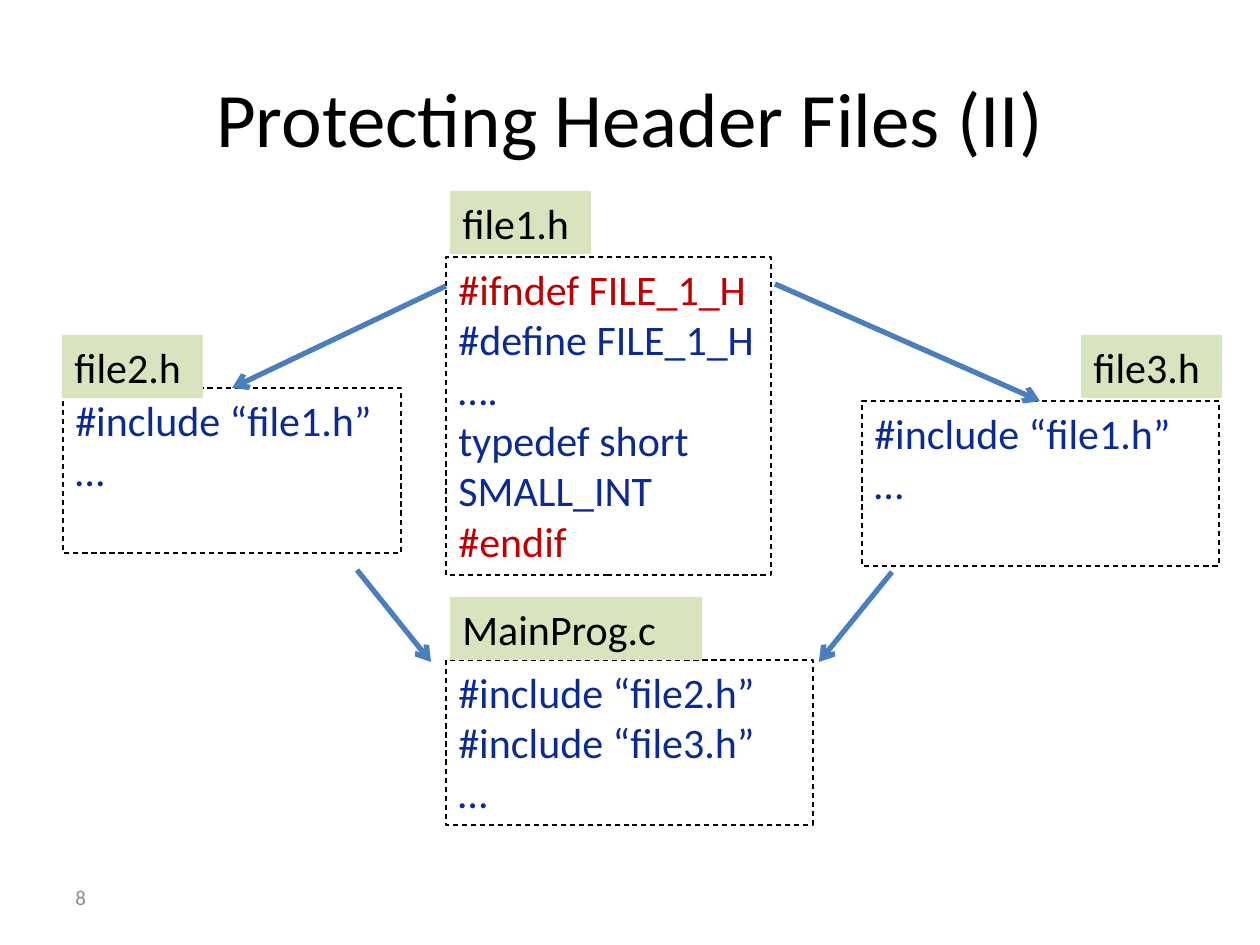
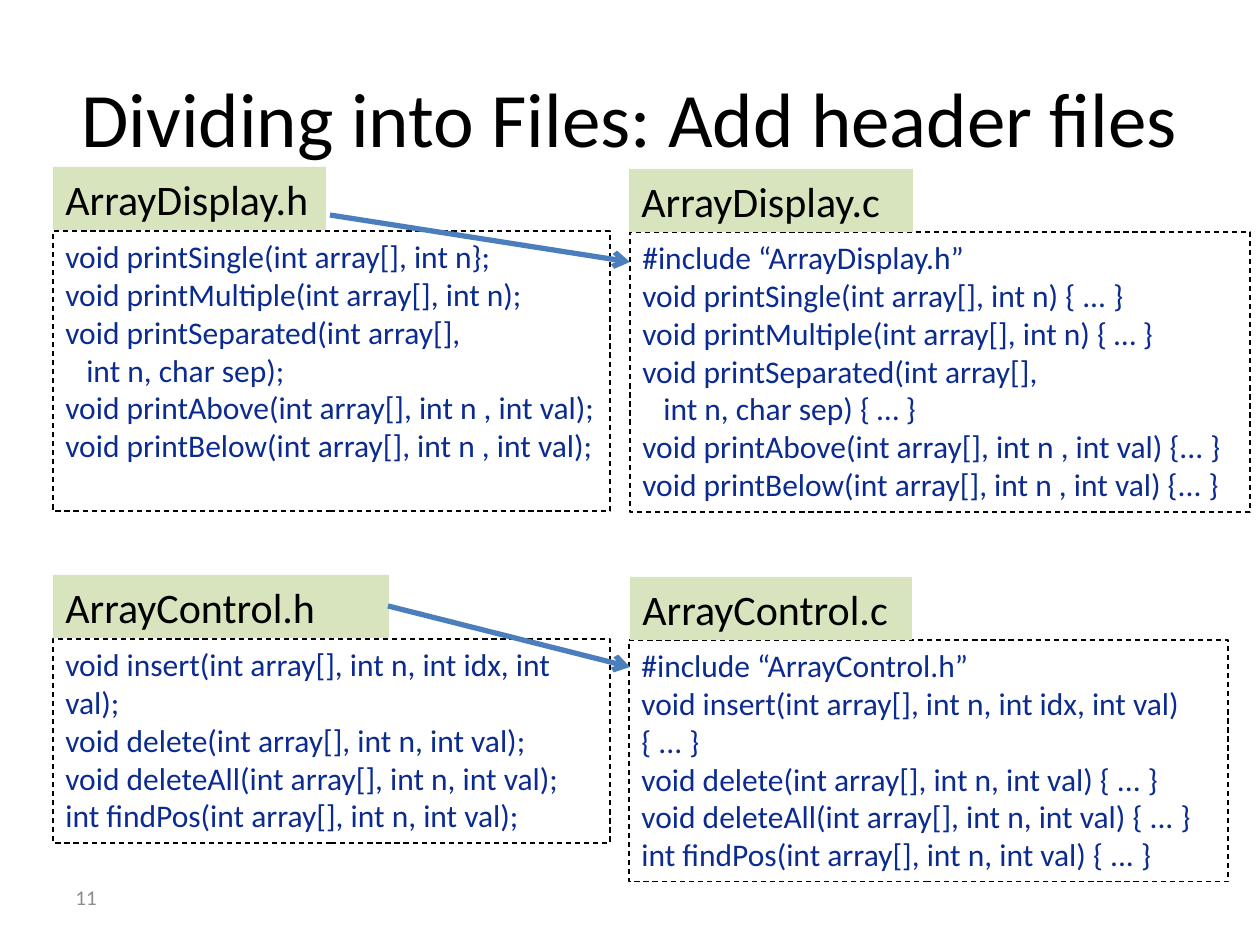
import pptx
import pptx.util
import pptx.dml.color
import pptx.enum.dml
import pptx.enum.shapes
import pptx.enum.text
import pptx.oxml
import pptx.oxml.ns
from dataclasses import dataclass


@dataclass(frozen=True)
class Theme:
    font: str = "Calibri"
    black: str = "000000"
    code: str = "0B2B91"
    guard: str = "C00000"
    tab: str = "D7E4BD"
    arrow: str = "4B7EBC"
    muted: str = "8C8C8C"
    title_size: int = 44
    tab_size: int = 24
    number_size: int = 12
    dash_width: float = 0.75
    arrow_width: float = 3


THEME = Theme()
SCALE = 914400 // 126
TITLE_AREA = (63, 38, 1134, 158)
NUMBER_AREA = (63, 872, 294, 50)
TAB_HEIGHT = 63
CONTINUATION_INDENT = 21
GUARDS = ("#ifndef FILE_1_H", "#endif")
CONTINUED = "int n, char sep)"

SLIDES = [
    {
        "title": "Protecting Header Files (II)",
        "number": "8",
        "code_size": 24,
        "files": [
            ("file1.h", (450, 191, 141), (446, 257, 325, 318),
             ["#ifndef FILE_1_H", "#define FILE_1_H", "….",
              "typedef short SMALL_INT", "#endif"]),
            ("file2.h", (62, 335, 141), (63, 388, 338, 165),
             ["#include “file1.h”", "…"]),
            ("file3.h", (1081, 335, 141), (862, 401, 357, 165),
             ["#include “file1.h”", "…"]),
            ("MainProg.c", (450, 597, 252), (446, 660, 367, 165),
             ["#include “file2.h”", "#include “file3.h”", "…"]),
        ],
        "arrows": [(446, 286, 232, 388), (775, 284, 1040, 401),
                   (357, 570, 431, 662), (892, 572, 819, 662)],
    },
    {
        "title": "Dividing into Files: Add header files",
        "number": "11",
        "code_size": 18,
        "files": [
            ("ArrayDisplay.h", (53, 167, 273), (53, 231, 557, 280),
             ["void printSingle(int array[], int n};",
              "void printMultiple(int array[], int n);",
              "void printSeparated(int array[],",
              "int n, char sep);",
              "void printAbove(int array[], int n , int val);",
              "void printBelow(int array[], int n , int val);"]),
            ("ArrayControl.h", (53, 575, 336), (53, 639, 557, 204),
             ["void insert(int array[], int n, int idx, int val);",
              "void delete(int array[], int n, int val);",
              "void deleteAll(int array[], int n, int val);",
              "int findPos(int array[], int n, int val);"]),
            ("ArrayDisplay.c", (629, 169, 284), (630, 232, 620, 280),
             ["#include “ArrayDisplay.h”",
              "void printSingle(int array[], int n) { ... }",
              "void printMultiple(int array[], int n) { … }",
              "void printSeparated(int array[],",
              "int n, char sep) { … }",
              "void printAbove(int array[], int n , int val) {... }",
              "void printBelow(int array[], int n , int val) {... }"]),
            ("ArrayControl.c", (630, 577, 282), (629, 640, 599, 242),
             ["#include “ArrayControl.h”",
              "void insert(int array[], int n, int idx, int val) { ... }",
              "void delete(int array[], int n, int val) { ... }",
              "void deleteAll(int array[], int n, int val) { ... }",
              "int findPos(int array[], int n, int val) { ... }"]),
        ],
        "arrows": [(330, 215, 630, 262), (388, 606, 630, 667)],
    },
]


def emu(*pixels):
    return [pptx.util.Emu(value * SCALE) for value in pixels]


def color(code):
    return pptx.dml.color.RGBColor.from_string(code)


def write(box, lines, size, align, anchor):
    frame = box.text_frame
    frame.word_wrap = True
    frame.auto_size = pptx.enum.text.MSO_AUTO_SIZE.NONE
    frame.vertical_anchor = anchor
    for index, (text, ink) in enumerate(lines):
        para = frame.add_paragraph() if index else frame.paragraphs[0]
        para.alignment = align
        if text.startswith(CONTINUED):
            indent, = emu(CONTINUATION_INDENT)
            para._p.get_or_add_pPr().set("marL", str(indent))
        span = para.add_run()
        span.text = text
        span.font.name = THEME.font
        span.font.size = pptx.util.Pt(size)
        span.font.color.rgb = color(ink)


def add_box(page, area, lines, size, fill=None):
    box = page.shapes.add_shape(pptx.enum.shapes.MSO_SHAPE.RECTANGLE, *emu(*area))
    box.shadow.inherit = False
    if fill:
        box.fill.solid()
        box.fill.fore_color.rgb = color(fill)
        box.line.fill.background()
    else:
        box.fill.background()
        box.line.color.rgb = color(THEME.black)
        box.line.width = pptx.util.Pt(THEME.dash_width)
        box.line.dash_style = pptx.enum.dml.MSO_LINE.DASH
    write(box, lines, size, pptx.enum.text.PP_ALIGN.LEFT, pptx.enum.text.MSO_ANCHOR.TOP)


def add_file(page, name, tab, area, code, size):
    lines = [(text, THEME.guard if text in GUARDS else THEME.code) for text in code]
    add_box(page, area, lines, size)
    add_box(page, (*tab, TAB_HEIGHT), [(name, THEME.black)], THEME.tab_size, THEME.tab)


def add_arrow(page, ends):
    arrow = page.shapes.add_connector(pptx.enum.shapes.MSO_CONNECTOR.STRAIGHT, *emu(*ends))
    arrow.line.color.rgb = color(THEME.arrow)
    arrow.line.width = pptx.util.Pt(THEME.arrow_width)
    head = pptx.oxml.parse_xml(
        "<a:tailEnd %s type='arrow'/>" % pptx.oxml.ns.nsdecls("a"))
    arrow.line._get_or_add_ln().append(head)
    effects = pptx.oxml.parse_xml("<a:effectLst %s/>" % pptx.oxml.ns.nsdecls("a"))
    arrow._element.spPr.append(effects)


def add_page(deck, content):
    page = deck.slides.add_slide(deck.slide_layouts[5])
    title = page.shapes.title
    title.left, title.top, title.width, title.height = emu(*TITLE_AREA)
    middle = pptx.enum.text.MSO_ANCHOR.MIDDLE
    write(title, [(content["title"], THEME.black)], THEME.title_size,
          pptx.enum.text.PP_ALIGN.CENTER, middle)
    number = page.shapes.add_textbox(*emu(*NUMBER_AREA))
    write(number, [(content["number"], THEME.muted)], THEME.number_size,
          pptx.enum.text.PP_ALIGN.LEFT, middle)
    for file in content["files"]:
        add_file(page, *file, content["code_size"])
    for ends in content["arrows"]:
        add_arrow(page, ends)


deck = pptx.Presentation()
deck.slide_width, deck.slide_height = emu(1260, 945)
for content in SLIDES:
    add_page(deck, content)
deck.save("out.pptx")
